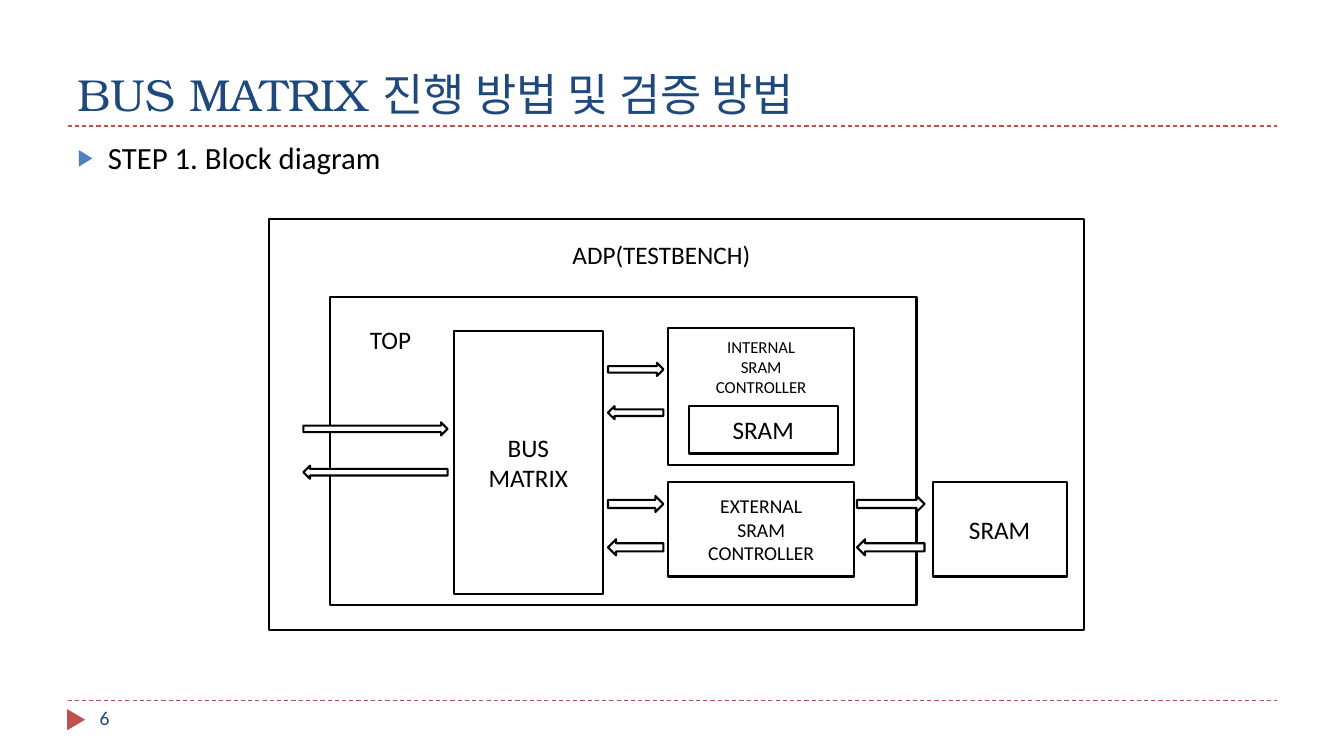
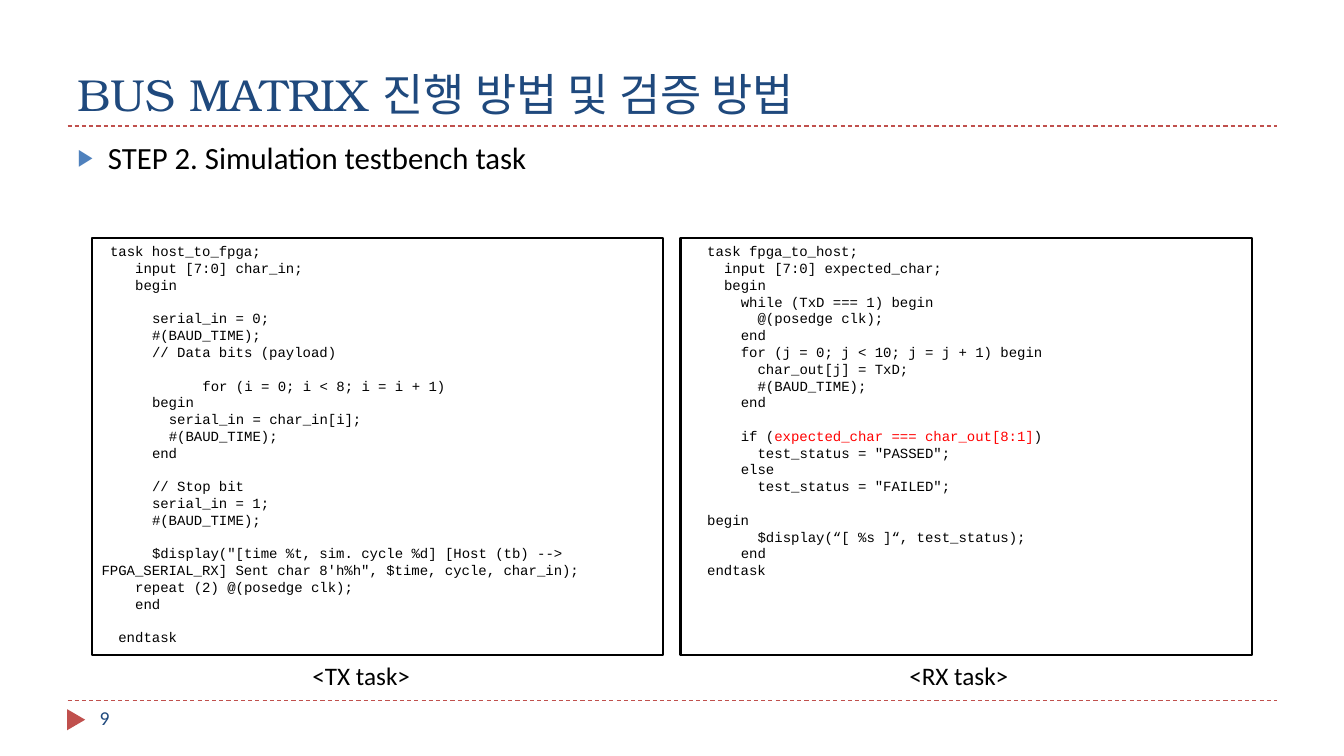
import pptx
import pptx.dml.color
import pptx.enum.dml
import pptx.enum.shapes
import pptx.enum.text
import pptx.oxml.ns
import pptx.util
from lxml import etree

Inches, Pt = pptx.util.Inches, pptx.util.Pt
SHAPE = pptx.enum.shapes.MSO_SHAPE
ANCHOR = pptx.enum.text.MSO_ANCHOR
ALIGN = pptx.enum.text.PP_ALIGN
qn = pptx.oxml.ns.qn

# Shared look
WIDTH, HEIGHT = 13.33, 7.5
MARGIN, CONTENT_WIDTH = 0.67, 12
TITLE_RULE, FOOTER_RULE = 1.25, 6.95
NAVY, RED, BLUE = "1F497D", "C0504D", "4F81BD"
BLACK, WHITE, ALERT = "000000", "FFFFFF", "FF0000"
TITLE_FONT, BODY_FONT, CODE_FONT = "TeX Gyre Bonum", "Calibri", "Courier New"
TITLE = "BUS MATRIX 진행 방법 및 검증 방법"

# Block diagram: left, top, width, height, lines, text size
BLOCKS = [
    (2.67, 2.17, 8.08, 4.08, "", 18),
    (3.27, 2.95, 5.82, 3.05, "", 18),
    (4.5, 3.28, 1.48, 2.61, "BUS\nMATRIX", 18),
    (6.63, 3.25, 1.84, 1.36, "INTERNAL\nSRAM\nCONTROLLER", 12),
    (6.63, 4.78, 1.84, 0.94, "EXTERNAL\nSRAM\nCONTROLLER", 14),
    (9.25, 4.78, 1.33, 0.94, "SRAM", 18),
    (6.83, 4.03, 1.48, 0.47, "SRAM", 18),
]
# Arrow pairs: left, top, width, height of the upper arrow
ARROW_PAIRS = [
    (8.5, 4.92, 0.67, 0.16),
    (6.03, 4.92, 0.55, 0.16),
    (6.03, 3.6, 0.55, 0.13),
    (3.01, 4.19, 1.43, 0.13),
]
ARROW_GAP = 0.43
LABELS = [(5.58, 2.33, 4.17, "ADP(TESTBENCH)"), (3.57, 3.17, 1.01, "TOP")]

# Code panels
TX_CODE = """
 task host_to_fpga;
    input [7:0] char_in;
    begin

      serial_in = 0;
      #(BAUD_TIME);
      // Data bits (payload)

            for (i = 0; i < 8; i = i + 1)
      begin
        serial_in = char_in[i];
        #(BAUD_TIME);
      end

      // Stop bit
      serial_in = 1;
      #(BAUD_TIME);

      $display("[time %t, sim. cycle %d] [Host (tb) --> FPGA_SERIAL_RX] Sent char 8'h%h", $time, cycle, char_in);
    repeat (2) @(posedge clk);
    end

  endtask
"""
RX_CODE = """
  task fpga_to_host;
    input [7:0] expected_char;
    begin
      while (TxD === 1) begin
        @(posedge clk);
      end
      for (j = 0; j < 10; j = j + 1) begin
        char_out[j] = TxD;
        #(BAUD_TIME);
      end

      if (expected_char === char_out[8:1])
        test_status = "PASSED";
      else
        test_status = "FAILED";

  begin
        $display(“[ %s ]“, test_status);
      end
  endtask
"""
HIGHLIGHT = "expected_char === char_out[8:1]"
# Left edge, code, caption, caption left edge
PANELS = [(0.91, TX_CODE, "<TX task>", 3), (6.75, RX_CODE, "<RX task>", 8.92)]
PANEL_TOP, PANEL_WIDTH, PANEL_HEIGHT = 2.36, 5.67, 4.14
CODE_SIZE, CODE_LINE, CODE_COLUMN = 10, 12, 6


def color(value):
    return pptx.dml.color.RGBColor.from_string(value)


def box(left, top, width, height):
    return [Inches(value) for value in (left, top, width, height)]


def set_font(font, size, name=BODY_FONT, fill=BLACK):
    font.size, font.name = Pt(size), name
    font.color.rgb = color(fill)


def add_block(shapes, kind, bounds, fill=WHITE, line=BLACK):
    shape = shapes.add_shape(kind, *box(*bounds))
    shape.shadow.inherit = False
    if fill:
        shape.fill.solid()
        shape.fill.fore_color.rgb = color(fill)
    else:
        shape.fill.background()
    if line:
        shape.line.color.rgb = color(line)
        shape.line.width = Pt(1.5)
    else:
        shape.line.fill.background()
    return shape


def add_label(shapes, left, top, width, text, size=18, fill=BLACK):
    frame = shapes.add_textbox(*box(left, top, width, 0.4)).text_frame
    frame.word_wrap = True
    frame.text = text
    set_font(frame.paragraphs[0].font, size, fill=fill)


def add_rule(shapes, y):
    rule = shapes.add_connector(
        pptx.enum.shapes.MSO_CONNECTOR.STRAIGHT,
        Inches(MARGIN), Inches(y), Inches(MARGIN + CONTENT_WIDTH), Inches(y))
    rule.line.color.rgb = color(RED)
    rule.line.width = Pt(0.75)
    rule.line.dash_style = pptx.enum.dml.MSO_LINE.DASH
    etree.SubElement(rule.element.spPr, qn("a:effectLst"))
    return rule


def prepare_layout(presentation):
    """Place the layout's placeholders and give it the rules and page marker."""
    layout = presentation.slide_layouts[1]
    areas = {0: (MARGIN, 0.17, CONTENT_WIDTH, 1.08),
             1: (MARGIN, 1.33, CONTENT_WIDTH, 5.4)}
    for holder in list(layout.placeholders):
        bounds = areas.get(holder.placeholder_format.idx)
        if bounds:
            holder.left, holder.top, holder.width, holder.height = box(*bounds)
        else:
            holder.element.getparent().remove(holder.element)
    return layout


def decorate_layout(layout, slide):
    """Draw the decorations through a slide, then move them to its layout."""
    marker = add_block(slide.shapes, SHAPE.ISOSCELES_TRIANGLE,
                       (0.65, 7.05, 0.21, 0.18), RED, None)
    marker.rotation = 90
    rules = [add_rule(slide.shapes, y) for y in (FOOTER_RULE, TITLE_RULE)]
    for number, shape in enumerate(rules + [marker], start=20):
        shape.element.xpath(".//p:cNvPr")[0].set("id", str(number))
        layout.shapes.element.append(shape.element)


def add_bullet(paragraph):
    properties = paragraph._p.get_or_add_pPr()
    properties.set("marL", str(Inches(0.3)))
    properties.set("indent", str(-Inches(0.3)))
    bullet_color = etree.SubElement(properties, qn("a:buClr"))
    etree.SubElement(bullet_color, qn("a:srgbClr"), val=BLUE)
    etree.SubElement(properties, qn("a:buSzPct"), val="76000")
    etree.SubElement(properties, qn("a:buChar"), char="▶")


def add_page(presentation, layout, number, step):
    slide = presentation.slides.add_slide(layout)
    title, body = slide.shapes.title, slide.placeholders[1]
    for holder, text in ((title, TITLE), (body, step)):
        holder.text_frame.text = text
        holder.text_frame.auto_size = pptx.enum.text.MSO_AUTO_SIZE.NONE
    title.text_frame.vertical_anchor = ANCHOR.BOTTOM
    heading = title.text_frame.paragraphs[0]
    heading.alignment = ALIGN.LEFT
    set_font(heading.font, 32, TITLE_FONT, NAVY)
    item = body.text_frame.paragraphs[0]
    item.space_before = Pt(6)
    set_font(item.font, 22)
    add_bullet(item)
    add_label(slide.shapes, 0.89, FOOTER_RULE, 2.89, str(number), 14, NAVY)
    return slide


def draw_diagram(slide):
    shapes = slide.shapes.add_group_shape().shapes
    for *bounds, text, size in BLOCKS:
        frame = add_block(shapes, SHAPE.RECTANGLE, bounds).text_frame
        if not text:
            continue
        frame.text = text
        frame.vertical_anchor = ANCHOR.MIDDLE
        if text.startswith("INTERNAL"):  # leaves room for the nested block
            frame.vertical_anchor = ANCHOR.TOP
            frame.margin_top = Inches(0.09)
        for paragraph in frame.paragraphs:
            paragraph.alignment = ALIGN.CENTER
            set_font(paragraph.font, size)
    for left, top, width, height in ARROW_PAIRS:
        add_block(shapes, SHAPE.RIGHT_ARROW, (left, top, width, height))
        add_block(shapes, SHAPE.LEFT_ARROW, (left, top + ARROW_GAP, width, height))
    for label in LABELS:
        add_label(shapes, *label)


def write_code(frame, code):
    """Turn leading columns into indents and blank lines into spacing."""
    paragraph, gap = frame.paragraphs[0], 0
    for line in code.strip("\n").split("\n"):
        text = line.lstrip()
        if not text:
            gap += CODE_LINE
            continue
        if paragraph.runs:
            paragraph = frame.add_paragraph()
        paragraph.alignment = ALIGN.LEFT
        paragraph.line_spacing = Pt(CODE_LINE)
        paragraph.space_before = Pt(gap)
        indent = Pt(CODE_COLUMN * (len(line) - len(text)))
        paragraph._p.get_or_add_pPr().set("indent", str(indent))
        set_font(paragraph.font, CODE_SIZE, CODE_FONT)
        for part in text.partition(HIGHLIGHT):
            if part:
                run = paragraph.add_run()
                run.text = part
                if part == HIGHLIGHT:
                    run.font.color.rgb = color(ALERT)
        gap = 0


def draw_panels(slide):
    for left, code, caption, caption_left in PANELS:
        panel = add_block(slide.shapes, SHAPE.RECTANGLE,
                          (left, PANEL_TOP, PANEL_WIDTH, PANEL_HEIGHT), None)
        panel.text_frame.word_wrap = True
        panel.text_frame.vertical_anchor = ANCHOR.TOP
        write_code(panel.text_frame, code)
        add_label(slide.shapes, caption_left, PANEL_TOP + PANEL_HEIGHT, 4, caption)


def main():
    presentation = pptx.Presentation()
    presentation.slide_width = Inches(WIDTH)
    presentation.slide_height = Inches(HEIGHT)
    layout = prepare_layout(presentation)
    diagram = add_page(presentation, layout, 6, "STEP 1. Block diagram")
    decorate_layout(layout, diagram)
    draw_diagram(diagram)
    draw_panels(add_page(presentation, layout, 9, "STEP 2. Simulation testbench task"))
    presentation.save("out.pptx")


if __name__ == "__main__":
    main()
